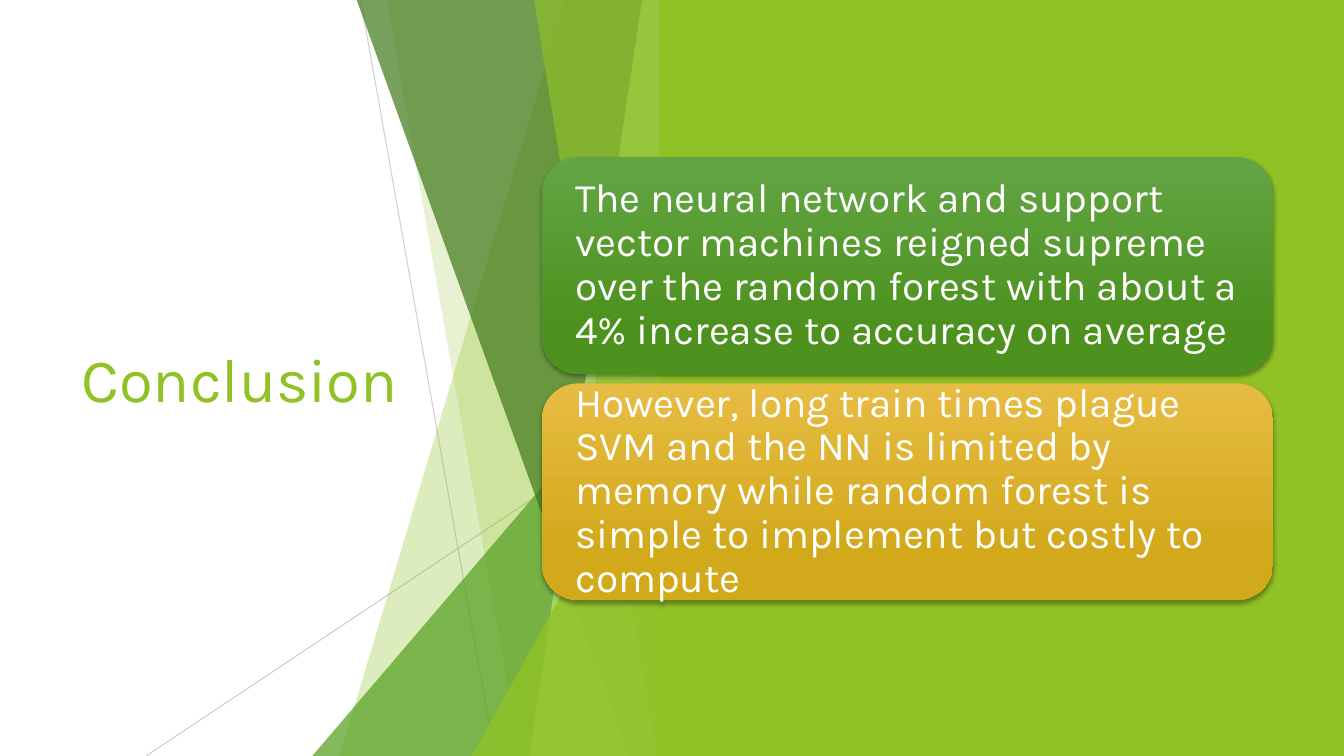
import lxml.etree
import pptx
import pptx.dml.color
import pptx.enum.shapes
import pptx.enum.text
import pptx.oxml.ns
import pptx.util

Cm = pptx.util.Cm
Pt = pptx.util.Pt
qn = pptx.oxml.ns.qn
kinds = pptx.enum.shapes.MSO_SHAPE
left = pptx.enum.text.PP_ALIGN.LEFT
middle = pptx.enum.text.MSO_ANCHOR.MIDDLE


def hue(code):
    return pptx.dml.color.RGBColor.from_string(code)


def fade(shape, part):
    """Make the shape's colour see-through; part is the opacity in percent."""
    for node in shape.element.spPr.iter(qn("a:srgbClr")):
        lxml.etree.SubElement(node, qn("a:alpha"), val=str(part * 1000))


deck = pptx.Presentation()
deck.slide_width, deck.slide_height = Cm(33.87), Cm(19.05)
slide = deck.slides.add_slide(deck.slide_layouts[5])
shapes = slide.shapes

# Title
title = shapes.title
place = {"left": Cm(1.8), "top": Cm(3.84), "width": Cm(9.86), "height": Cm(11.38)}
for name, value in place.items():
    setattr(title, name, value)
frame = title.text_frame
frame.text = "Conclusion"
frame.word_wrap = True
frame.vertical_anchor = middle
frame.paragraphs[0].alignment = left
style = {"name": "Karla", "size": Pt(44)}
font = frame.paragraphs[0].runs[0].font
for name, value in style.items():
    setattr(font, name, value)
font.color.rgb = hue("90C226")

# Thin lines behind the facets
edge, base = 16.92, 19.05
for x1, y1, x2, part in [(9.09, 0, 12.47, 75), (edge, 10.24, 3.68, 80)]:
    line = shapes.add_connector(
        pptx.enum.shapes.MSO_CONNECTOR.STRAIGHT, Cm(x1), Cm(y1), Cm(x2), Cm(base))
    line.line.width = Pt(0.75)
    line.line.color.rgb = hue("BFBFBF")
    fade(line, part)
    lxml.etree.SubElement(line.element.spPr, qn("a:effectLst"))

# Facets: a band has its top and bottom x, a wedge its left x and top y
facets = [
    ("band", 14.25, 8.56, "90C226", 30),
    ("band", 9.75, 13.11, "90C226", 20),
    ("wedge", 7.87, 8.46, "54A021", 72),
    ("band", 8.99, 15.85, "3F7819", 70),
    ("band", 16.18, 13.34, "C0E474", 70),
    ("band", 13.46, 16.54, "90C226", 65),
    ("wedge", 11.89, 9.98, "90C226", 80),
]
for kind, a, b, code, part in facets:
    if kind == "band":
        path = shapes.build_freeform(Cm(a), 0)
        path.add_line_segments(
            [(Cm(edge), 0), (Cm(edge), Cm(base)), (Cm(b), Cm(base))], close=True)
        facet = path.convert_to_shape()
    else:
        facet = shapes.add_shape(
            kinds.ISOSCELES_TRIANGLE, Cm(a), Cm(b), Cm(edge - a), Cm(base - b))
        facet.adjustments[0] = 1
    facet.fill.solid()
    facet.fill.fore_color.rgb = hue(code)
    fade(facet, part)
    facet.line.fill.background()
    facet.shadow.inherit = False

# Green panel
panel = shapes.add_shape(kinds.RECTANGLE, Cm(16.61), 0, Cm(17.26), Cm(base))
panel.fill.solid()
panel.fill.fore_color.rgb = hue("90C226")
panel.line.fill.background()
panel.shadow.inherit = False

# Cards
cards = [
    ("63A545", "4D921E",
     "The neural network and support vector machines reigned supreme over "
     "the random forest with about a 4% increase to accuracy on average"),
    ("E7BC43", "D2A91B",
     "However, long train times plague SVM and the NN is limited by memory "
     "while random forest is simple to implement but costly to compute"),
]
look = {
    "word_wrap": True, "vertical_anchor": middle,
    "margin_left": Cm(0.57), "margin_right": Cm(0.57),
    "margin_top": Cm(0.57), "margin_bottom": Cm(0.57),
}
style["size"] = Pt(29)
for row, (light, dark, words) in enumerate(cards):
    card = shapes.add_shape(
        kinds.ROUNDED_RECTANGLE, Cm(13.66), Cm(3.96 + 5.7 * row), Cm(18.42), Cm(5.46))
    card.line.fill.background()

    # Gradient from top to bottom
    card.fill.gradient()
    card.fill.gradient_angle = 270
    for stop, spot, code in zip(card.fill.gradient_stops, (0, 0.78), (light, dark)):
        stop.position = spot
        stop.color.rgb = hue(code)

    # Soft shadow below
    card.shadow.inherit = False
    glow = lxml.etree.SubElement(
        card.element.spPr.find(qn("a:effectLst")), qn("a:outerShdw"),
        blurRad=str(Pt(3)), dist=str(Pt(2)), dir="5400000", rotWithShape="0")
    tint = lxml.etree.SubElement(glow, qn("a:srgbClr"), val="000000")
    lxml.etree.SubElement(tint, qn("a:alpha"), val="35000")

    # Text
    frame = card.text_frame
    for name, value in look.items():
        setattr(frame, name, value)
    frame.text = words
    para = frame.paragraphs[0]
    para.alignment = left
    para.line_spacing = 0.9
    font = para.runs[0].font
    for name, value in style.items():
        setattr(font, name, value)
    font.color.rgb = hue("FFFFFF")

deck.save("out.pptx")
